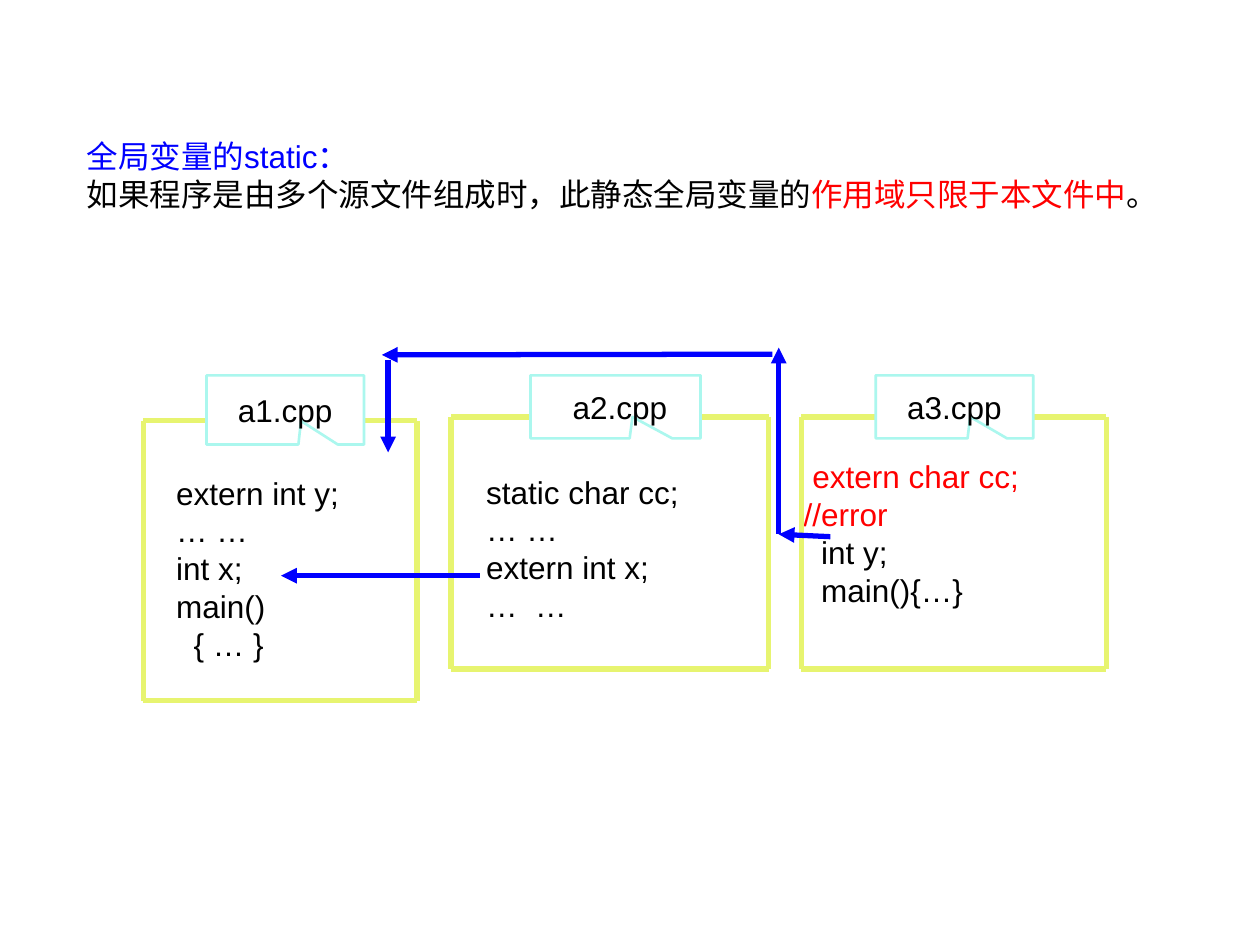
from collections import namedtuple
from dataclasses import dataclass

from lxml.etree import SubElement
from pptx import Presentation
from pptx.dml.color import RGBColor
from pptx.enum.shapes import MSO_CONNECTOR as Connector, MSO_SHAPE as Preset
from pptx.enum.text import MSO_ANCHOR as Anchor, PP_ALIGN as Align
from pptx.oxml.ns import qn
from pptx.util import Pt

Box = namedtuple("Box", "left top width height")
Line = namedtuple("Line", "spans indent", defaults=(0,))
SourceFile = namedtuple("SourceFile", "frame tab code name name_indent lines")


@dataclass(frozen=True)
class Theme:
    font: str = "Arial"
    size: float = 18
    ink: str = "000000"
    accent: str = "0000FF"
    alert: str = "FF0000"
    frame: str = "E7F470"
    tab: str = "ABF7EE"
    heavy: float = 3
    thin: float = 1.5


THEME = Theme()


def plain(*texts):
    return [Line([(text, THEME.ink)]) for text in texts]


HEADING = [
    Line([("全局变量的static：", THEME.accent)]),
    Line([
        ("如果程序是由多个源文件组成时，此静态全局变量的", THEME.ink),
        ("作用域只限于本文件中", THEME.alert),
        ("。", THEME.ink),
    ]),
]
FILES = [
    SourceFile(
        Box(82, 240.5, 156.3, 160), Box(118, 214.5, 90, 39.5),
        Box(93.6, 252.7, 130.3, 144), "a1.cpp", 0,
        plain("extern int y;", "… …", "int x;", "main()")
        + [Line([("{ … }", THEME.ink)], 10)],
    ),
    SourceFile(
        Box(257.8, 238.3, 181.4, 144), Box(303.1, 214.5, 97.2, 36),
        Box(270.7, 238.3, 162, 149.8), "a2.cpp", 5,
        plain("static char cc;", "… …", "extern int x;", "…  …"),
    ),
    SourceFile(
        Box(457.9, 238.3, 174.2, 144), Box(500.4, 214.5, 90, 36),
        Box(452.2, 232.6, 180, 144), "a3.cpp", 0,
        [
            Line([("extern char cc;", THEME.alert)], 5),
            Line([("//error", THEME.alert)]),
            Line([("int y;", THEME.ink)], 10),
            Line([("main(){…}", THEME.ink)], 10),
        ],
    ),
]
LINKS = [
    ((160.6, 329), (274.3, 329)),
    ((445, 198.7), (445, 305.3)),
    ((218.2, 202.8), (441.4, 202.4)),
    ((445, 305.3), (474.5, 306.7)),
    ((221.8, 258.5), (221.8, 206)),
]


def write_lines(frame, lines, align):
    layout = {
        "word_wrap": True, "vertical_anchor": Anchor.MIDDLE,
        "margin_left": Pt(7.2), "margin_right": Pt(7.2),
        "margin_top": Pt(3.6), "margin_bottom": Pt(3.6),
    }
    for name, value in layout.items():
        setattr(frame, name, value)
    for number, line in enumerate(lines):
        para = frame.add_paragraph() if number else frame.paragraphs[0]
        para.alignment = align
        if line.indent:
            para._p.get_or_add_pPr().set("marL", str(Pt(line.indent)))
        for text, color in line.spans:
            span = para.add_run()
            span.text = text
            for name, value in {"name": THEME.font, "size": Pt(THEME.size)}.items():
                setattr(span.font, name, value)
            span.font.color.rgb = RGBColor.from_string(color)


def add_text(page, box, lines):
    shape = page.shapes.add_textbox(*map(Pt, box))
    write_lines(shape.text_frame, lines, Align.LEFT)


def add_line(page, start, end, color):
    line = page.shapes.add_connector(Connector.STRAIGHT, *map(Pt, start + end))
    line.line.color.rgb = RGBColor.from_string(color)
    line.line.width = Pt(THEME.heavy)
    SubElement(line._element.spPr, qn("a:effectLst"))
    return line


def add_link(page, start, end):
    link = add_line(page, start, end, THEME.accent)
    SubElement(link.line._get_or_add_ln(), qn("a:headEnd"), type="triangle")


def add_frame(page, box, tab):
    left, top = box.left, box.top
    right, bottom = left + box.width, top + box.height
    sides = [
        ((left, top), (tab.left, top)),
        ((tab.left + tab.width, top), (right, top)),
        ((left, bottom), (right, bottom)),
        ((left, top), (left, bottom)),
        ((right, top), (right, bottom)),
    ]
    for start, end in sides:
        add_line(page, start, end, THEME.frame)


def add_tab(page, box, name, indent):
    tab = page.shapes.add_shape(Preset.RECTANGULAR_CALLOUT, *map(Pt, box))
    tab.adjustments[0], tab.adjustments[1] = 0.1, 0.16
    tab.shadow.inherit = False
    tab.fill.background()
    tab.line.color.rgb = RGBColor.from_string(THEME.tab)
    tab.line.width = Pt(THEME.thin)
    write_lines(tab.text_frame, [Line([(name, THEME.ink)], indent)], Align.CENTER)


def add_source_file(page, source):
    add_text(page, source.code, source.lines)
    add_frame(page, source.frame, source.tab)
    add_tab(page, source.tab, source.name, source.name_indent)


def main():
    deck = Presentation()
    deck.slide_width, deck.slide_height = Pt(720), Pt(540)
    page = deck.slides.add_slide(deck.slide_layouts[6])
    add_text(page, Box(42.5, 26, 628.6, 147.6), HEADING)
    for source in FILES:
        add_source_file(page, source)
    for start, end in LINKS:
        add_link(page, start, end)
    deck.save("out.pptx")


if __name__ == "__main__":
    main()
